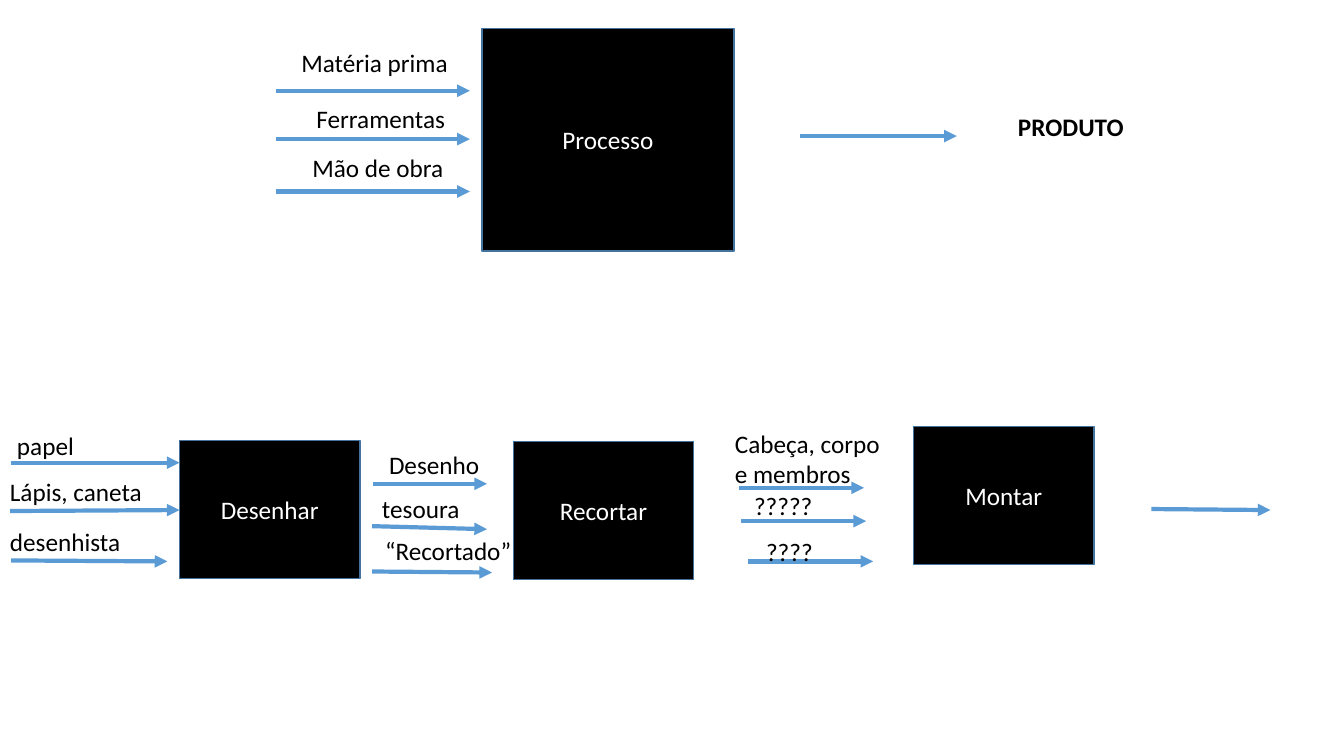
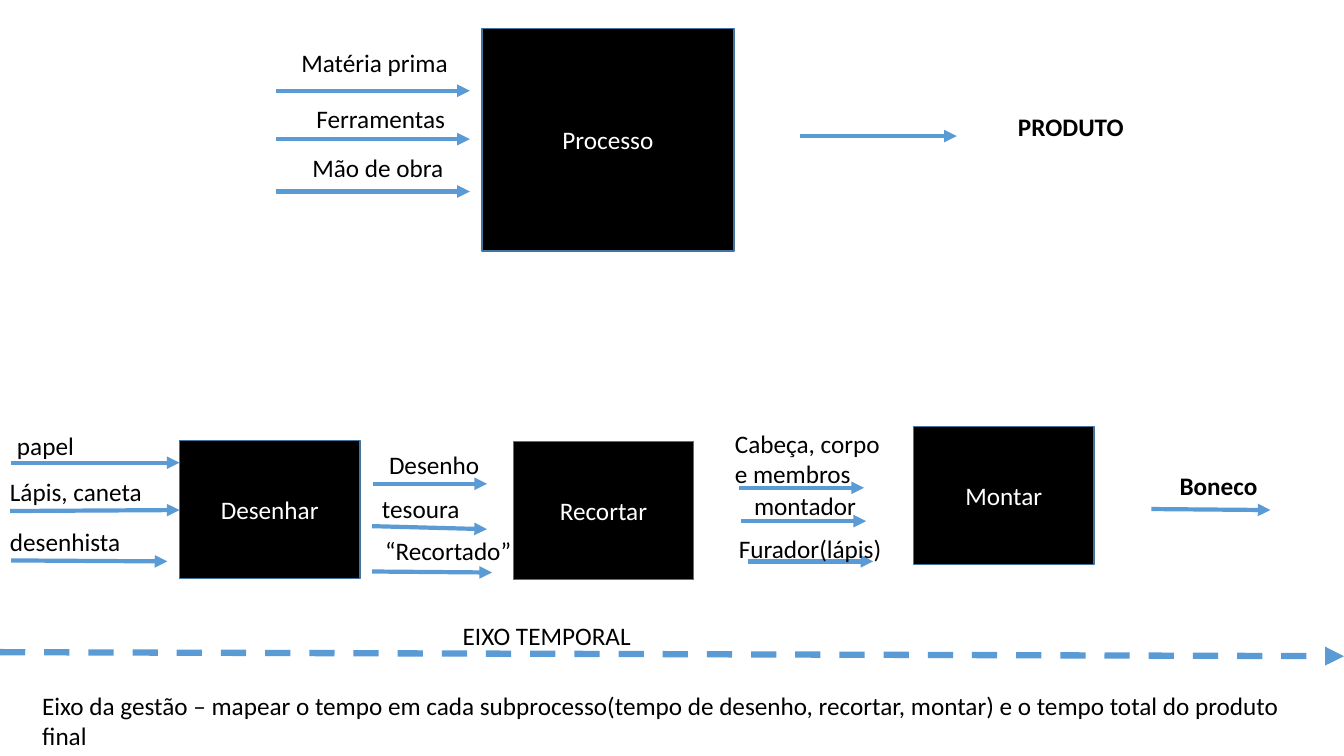
from lxml import etree
from pptx import Presentation
from pptx.dml.color import RGBColor
from pptx.enum.dml import MSO_LINE
from pptx.enum.shapes import MSO_CONNECTOR, MSO_SHAPE
from pptx.enum.text import MSO_ANCHOR, MSO_AUTO_SIZE, PP_ALIGN
from pptx.oxml.ns import qn
from pptx.util import Inches, Pt

COLORS = {"box": "000000", "edge": "43739E", "arrow": "5B9BD5",
          "text": "000000", "box_text": "FFFFFF"}
FONT = "Calibri"
LABEL_H = 0.4
STEP_W, STEP_H = 1.79, 1.37


def add_text(slide, text, x, y, w, h=LABEL_H, box=False, bold=False,
             center=False, wrap=True):
    """Add a plain label, or a filled process box when box is True."""
    frame = [Inches(v) for v in (x, y, w, h)]
    if box:
        sp = slide.shapes.add_shape(MSO_SHAPE.RECTANGLE, *frame)
        sp.shadow.inherit = False
        sp.fill.solid()
        sp.fill.fore_color.rgb = RGBColor.from_string(COLORS["box"])
        sp.line.color.rgb = RGBColor.from_string(COLORS["edge"])
        sp.line.width = Pt(1)
    else:
        sp = slide.shapes.add_textbox(*frame)
    tf = sp.text_frame
    tf.word_wrap = wrap
    tf.auto_size = MSO_AUTO_SIZE.NONE if box else MSO_AUTO_SIZE.SHAPE_TO_FIT_TEXT
    tf.vertical_anchor = MSO_ANCHOR.MIDDLE if box else MSO_ANCHOR.TOP
    p = tf.paragraphs[0]
    p.alignment = PP_ALIGN.CENTER if box or center else PP_ALIGN.LEFT
    r = p.add_run()
    r.text = text
    r.font.name = FONT
    r.font.size = Pt(18)
    r.font.bold = bold
    r.font.color.rgb = RGBColor.from_string(COLORS["box_text" if box else "text"])


def add_arrow(slide, x1, y1, x2, y2, width=3, dash=None):
    """Add a line with a triangle at its end."""
    line = slide.shapes.add_connector(
        MSO_CONNECTOR.STRAIGHT, *[Inches(v) for v in (x1, y1, x2, y2)])
    line.line.color.rgb = RGBColor.from_string(COLORS["arrow"])
    line.line.width = Pt(width)
    if dash:
        line.line.dash_style = dash
    etree.SubElement(line.line._get_or_add_ln(), qn("a:tailEnd"), type="triangle")
    etree.SubElement(line._element.spPr, qn("a:effectLst"))


# Content shared by both slides
BOXES = [
    ("Processo", 4.78, 0.28, 2.5, 2.21),
    ("Desenhar", 1.78, 4.37, STEP_W, STEP_H),
    ("Recortar", 5.09, 4.38, STEP_W, STEP_H),
    ("Montar", 9.06, 4.23, STEP_W, STEP_H),
]
ARROWS = [
    # Process inputs and output
    (2.74, 0.9, 4.66, 0.9), (2.74, 1.38, 4.66, 1.38), (2.74, 1.9, 4.66, 1.9),
    (7.93, 1.35, 9.49, 1.35),
    # Into Desenhar
    (0.11, 4.59, 1.78, 4.59), (0.1, 5.07, 1.78, 5.06), (0.11, 5.56, 1.66, 5.57),
    # Into Recortar
    (3.7, 4.8, 4.83, 4.8), (3.69, 5.22, 4.83, 5.25), (3.69, 5.67, 4.88, 5.68),
    # Into Montar, then out
    (7.33, 4.84, 8.57, 4.84), (7.35, 5.17, 8.59, 5.17), (7.42, 5.57, 8.66, 5.57),
    (11.42, 5.05, 12.6, 5.06),
]
LABELS = [
    ("Matéria prima", 2.89, 0.42, 1.68),
    ("Ferramentas", 3.04, 0.98, 1.57),
    ("Mão de obra", 3, 1.46, 1.57),
    ("papel", 0.07, 4.22, 1.92),
    ("Lápis, caneta", 0, 4.68, 1.92),
    ("desenhista", 0, 5.17, 1.92),
    ("Desenho", 3.76, 4.41, 1.92),
    ("tesoura", 3.69, 4.84, 1.92),
    ("“Recortado”", 3.72, 5.26, 1.92),
    ("Cabeça, corpo e membros", 7.19, 4.2, 1.69, 0.71),
]

# Inputs of Montar: open questions first, then the answers
MONTAR_INPUTS = [
    [("?????", 7.38, 4.82, 0.79), ("????", 7.5, 5.27, 0.67)],
    [("montador", 7.38, 4.82, 1.22), ("Furador(lápis)", 7.23, 5.24, 1.63)],
]

prs = Presentation()
prs.slide_width, prs.slide_height = Inches(13.33), Inches(7.5)

# Process diagram on each slide
for inputs in MONTAR_INPUTS:
    s = prs.slides.add_slide(prs.slide_layouts[6])
    for box in BOXES:
        add_text(s, *box, box=True)
    for arrow in ARROWS:
        add_arrow(s, *arrow)
    for label in LABELS:
        add_text(s, *label)
    add_text(s, "PRODUTO", 9.83, 1.06, 1.58, bold=True, center=True)
    for label in inputs:
        add_text(s, *label, wrap=False)

# Final product and time axis, on the last slide only
add_text(s, "Boneco", 11.6, 4.62, 0.98, bold=True, wrap=False)
add_arrow(s, 0, 6.47, 13.33, 6.51, width=4.5, dash=MSO_LINE.DASH)
add_text(s, "EIXO TEMPORAL", 4.49, 6.1, 3.12)
add_text(s, "Eixo da gestão – mapear o tempo em cada subprocesso"
            "(tempo de desenho, recortar, montar) e o tempo total do produto final",
         0.32, 6.8, 12.95, wrap=False)

prs.save("out.pptx")
